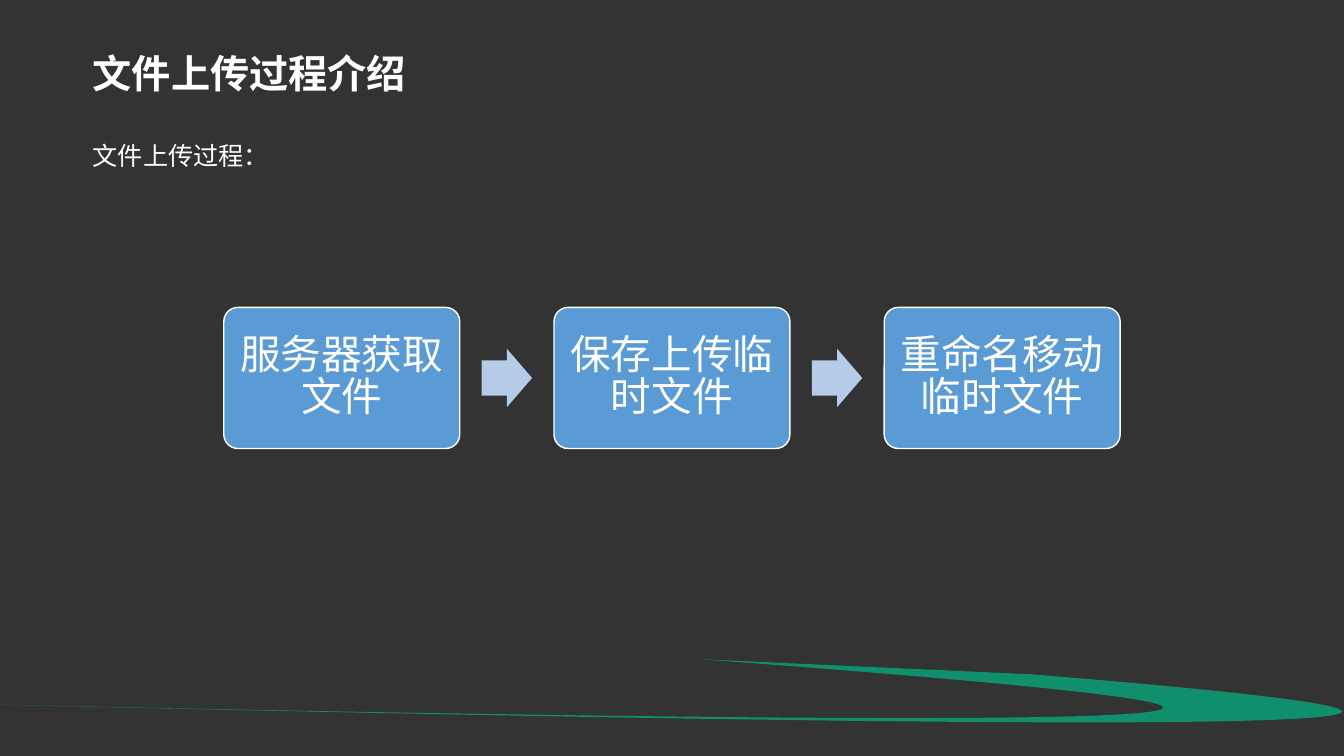
from pptx import Presentation
from pptx.dml.color import RGBColor
from pptx.enum.shapes import MSO_SHAPE as Preset
from pptx.enum.text import MSO_ANCHOR as Anchor, MSO_AUTO_SIZE as AutoSize, PP_ALIGN as Align
from pptx.oxml.ns import qn
from pptx.util import Inches, Pt

COLORS = {
    "background": "333333",
    "text": "FFFFFF",
    "step": "5B9BD5",
    "arrow": "B5CBE7",
    "swoosh": "0F8F6B",
}
CHINESE_FONT = "Noto Sans CJK SC"
STEPS = ["服务器获取文件", "保存上传临时文件", "重命名移动临时文件"]


def color(name):
    return RGBColor.from_string(COLORS[name])


def paint(shape, fill, line=None):
    shape.shadow.inherit = False
    shape.fill.solid()
    shape.fill.fore_color.rgb = color(fill)
    if line:
        shape.line.color.rgb = color(line)
        shape.line.width = Pt(1)
    else:
        shape.line.fill.background()


def write(shape, text, size, font="Arial", bold=False, align=Align.LEFT, anchor=Anchor.TOP):
    frame = shape.text_frame
    frame.word_wrap = True
    frame.auto_size = AutoSize.NONE
    frame.vertical_anchor = anchor
    para = frame.paragraphs[0]
    para.alignment = align
    span = para.add_run()
    span.text = text
    span.font.size = Pt(size)
    span.font.name = font
    span.font.bold = bold
    span.font.color.rgb = color("text")
    east_asian = span.font._element.makeelement(qn("a:ea"), {"typeface": CHINESE_FONT})
    span.font._element.find(qn("a:latin")).addnext(east_asian)
    return para


def place(shape, left, top, width, height):
    shape.left, shape.top = Inches(left), Inches(top)
    shape.width, shape.height = Inches(width), Inches(height)


def curve(start, first, second, end, count=60):
    points = []
    for index in range(1, count + 1):
        t = index / count
        weights = ((1 - t) ** 3, 3 * t * (1 - t) ** 2, 3 * t * t * (1 - t), t ** 3)
        corners = (start, first, second, end)
        points.append(tuple(sum(w * c[axis] for w, c in zip(weights, corners)) for axis in (0, 1)))
    return points


def add_swoosh(page, left, top):
    shoulder, tail, tip = (10.29, 0.17), (0, 0.47), (7.01, 0.02)
    points = curve(shoulder, (16.8, 0.7), (12.81, 0.77), tail)
    points += curve(tail, (16.61, 0.83), (11.92, 0.39), tip)
    outline = [(Inches(left + x), Inches(top + y)) for x, y in points]
    builder = page.shapes.build_freeform(Inches(left + shoulder[0]), Inches(top + shoulder[1]))
    builder.add_line_segments(outline, close=True)
    paint(builder.convert_to_shape(), "swoosh")


def add_heading(page, left, top, width):
    title = page.shapes.title
    place(title, left, top, 5.43, 0.57)
    write(title, "文件上传过程介绍", 28, font=CHINESE_FONT, bold=True)
    intro = page.shapes.add_textbox(Inches(left), Inches(top + 0.9), Inches(width), Inches(0.4))
    write(intro, "文件上传过程：", 18)


def add_step(page, text, left, top, width, height):
    box = page.shapes.add_shape(
        Preset.ROUNDED_RECTANGLE, Inches(left), Inches(top), Inches(width), Inches(height))
    box.adjustments[0] = 0.1
    paint(box, "step", "text")
    frame = box.text_frame
    frame.margin_left = frame.margin_right = Inches(0.12)
    frame.margin_top = frame.margin_bottom = Inches(0.12)
    para = write(box, text, 29, align=Align.CENTER, anchor=Anchor.MIDDLE)
    para.line_spacing = 0.86


def add_arrow(page, center, middle, width=0.5, height=0.58):
    arrow = page.shapes.add_shape(
        Preset.RIGHT_ARROW, Inches(center - width / 2), Inches(middle - height / 2),
        Inches(width), Inches(height))
    arrow.adjustments[0] = 0.6
    arrow.adjustments[1] = 0.5
    paint(arrow, "arrow")


def add_process(page, left, top, width, height, step_width=2.34):
    pitch = (width - step_width) / (len(STEPS) - 1)
    for index, text in enumerate(STEPS):
        step_left = left + index * pitch
        if index:
            add_arrow(page, step_left - (pitch - step_width) / 2, top + height / 2)
        add_step(page, text, step_left, top, step_width, height)


def main():
    deck = Presentation()
    deck.slide_width, deck.slide_height = Inches(13.33), Inches(7.5)
    page = deck.slides.add_slide(deck.slide_layouts[5])
    page.background.fill.solid()
    page.background.fill.fore_color.rgb = color("background")
    add_swoosh(page, -0.06, 6.52)
    add_heading(page, 0.82, 0.44, 11.85)
    add_process(page, 2.22, 3.05, 8.89, 1.4)
    deck.save("out.pptx")


if __name__ == "__main__":
    main()
